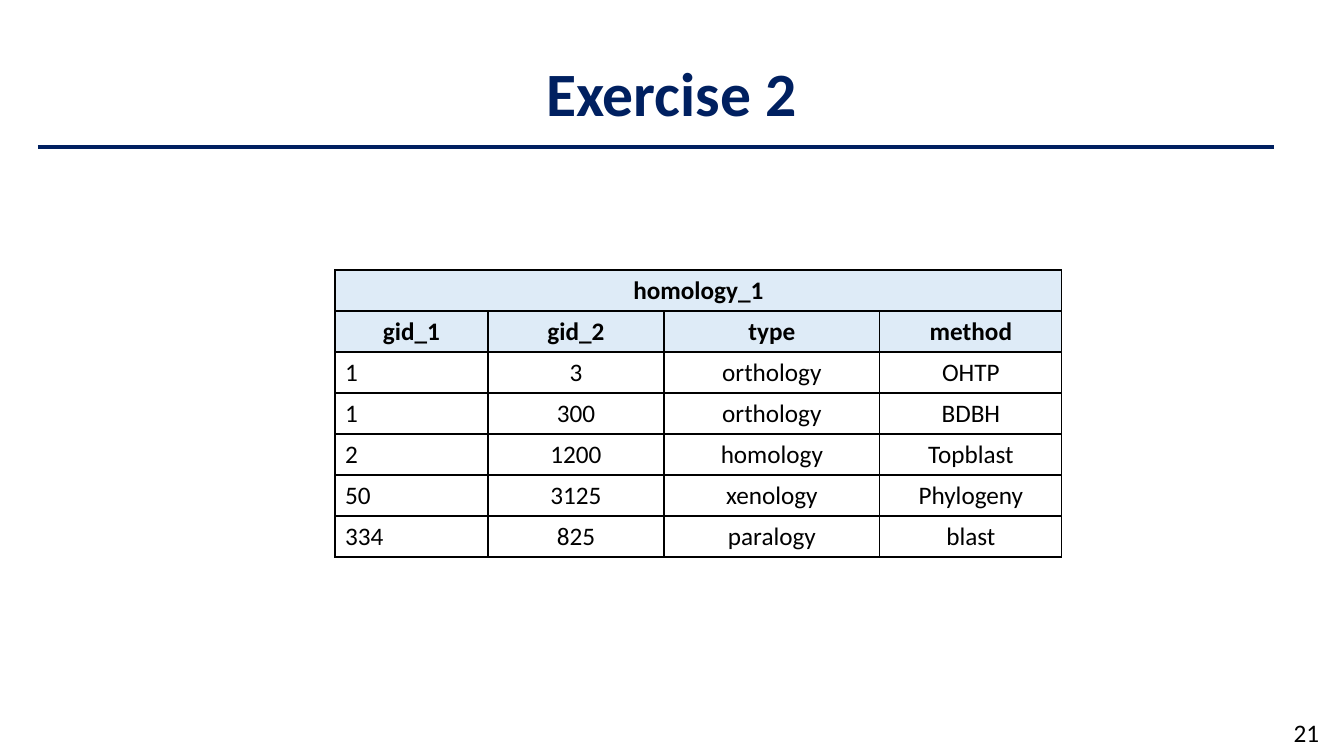
from lxml import etree
from pptx import Presentation
from pptx import util as u
from pptx.dml.color import RGBColor
from pptx.enum import shapes, text
from pptx.oxml import ns

NAVY = RGBColor(0x00, 0x20, 0x60)
BLACK = RGBColor(0x00, 0x00, 0x00)
PALE_BLUE = RGBColor(0xDE, 0xEB, 0xF7)
FONT = "Calibri"
EMU_PER_PX = 914400 / 100.8

COLUMN_WIDTHS = [153, 176, 216, 182]
ROW_HEIGHT = 41
HEADER_ROWS = 2
HOMOLOGY = [
    ["homology_1", "", "", ""],
    ["gid_1", "gid_2", "type", "method"],
    ["1", "3", "orthology", "OHTP"],
    ["1", "300", "orthology", "BDBH"],
    ["2", "1200", "homology", "Topblast"],
    ["50", "3125", "xenology", "Phylogeny"],
    ["334", "825", "paralogy", "blast"],
]


def px(n):
    return u.Emu(round(n * EMU_PER_PX))


def add_run(p, words, size, color=BLACK, bold=False):
    r = p.add_run()
    r.text = words
    r.font.name = FONT
    r.font.size = u.Pt(size)
    r.font.bold = bold
    r.font.color.rgb = color


def set_borders(cell):
    tc_pr = cell._tc.get_or_add_tcPr()
    for i, side in enumerate(("lnL", "lnR", "lnT", "lnB")):
        ln = etree.Element(ns.qn(f"a:{side}"), w=str(u.Pt(1)))
        fill = etree.SubElement(ln, ns.qn("a:solidFill"))
        etree.SubElement(fill, ns.qn("a:srgbClr"), val=str(BLACK))
        tc_pr.insert(i, ln)


def add_title(s, x, y, w, h):
    tf = s.shapes.add_textbox(px(x), px(y), px(w), px(h)).text_frame
    tf.word_wrap = True
    tf.vertical_anchor = text.MSO_ANCHOR.MIDDLE
    p = tf.paragraphs[0]
    p.alignment = text.PP_ALIGN.CENTER
    p.line_spacing = 0.9
    add_run(p, "Exercise 2", 44, NAVY, bold=True)


def add_rule(s, x, y, w):
    line = s.shapes.add_connector(
        shapes.MSO_CONNECTOR.STRAIGHT, px(x), px(y), px(x + w), px(y))
    line.line.color.rgb = NAVY
    line.line.width = u.Pt(3)
    etree.SubElement(line._element.spPr, ns.qn("a:effectLst"))


def add_page_number(s, x, y, w, h):
    tf = s.shapes.add_textbox(px(x), px(y), px(w), px(h)).text_frame
    # Both digits stay on one line
    tf.word_wrap = False
    tf.margin_left = tf.margin_right = 0
    p = tf.paragraphs[0]
    p.alignment = text.PP_ALIGN.CENTER
    add_run(p, "21", 18)


def add_homology_table(s, x, y):
    rows, cols = len(HOMOLOGY), len(COLUMN_WIDTHS)
    table = s.shapes.add_table(
        rows, cols, px(x), px(y),
        px(sum(COLUMN_WIDTHS)), px(rows * ROW_HEIGHT)).table
    for column, width in zip(table.columns, COLUMN_WIDTHS):
        column.width = px(width)

    for i, values in enumerate(HOMOLOGY):
        table.rows[i].height = px(ROW_HEIGHT)
        header = i < HEADER_ROWS
        for j, value in enumerate(values):
            cell = table.cell(i, j)
            if header:
                cell.fill.solid()
                cell.fill.fore_color.rgb = PALE_BLUE
            else:
                cell.fill.background()
            set_borders(cell)
            p = cell.text_frame.paragraphs[0]
            centred = header or j > 0
            p.alignment = text.PP_ALIGN.CENTER if centred else text.PP_ALIGN.LEFT
            p.font.size = u.Pt(18)
            if value:
                add_run(p, value, 18, bold=header)

    # Table name spans every column
    table.cell(0, 0).merge(table.cell(0, cols - 1))


def build_exercise_slide(prs):
    s = prs.slides.add_slide(prs.slide_layouts[6])
    # Heading
    add_title(s, 92, 24, 1159, 146)
    add_rule(s, 38, 147, 1236)
    # Footer
    add_page_number(s, 1290, 712, 33, 40)
    # Data
    add_homology_table(s, 335, 270)


def main():
    prs = Presentation()
    prs.slide_width, prs.slide_height = px(1344), px(756)
    build_exercise_slide(prs)
    prs.save("out.pptx")


if __name__ == "__main__":
    main()
